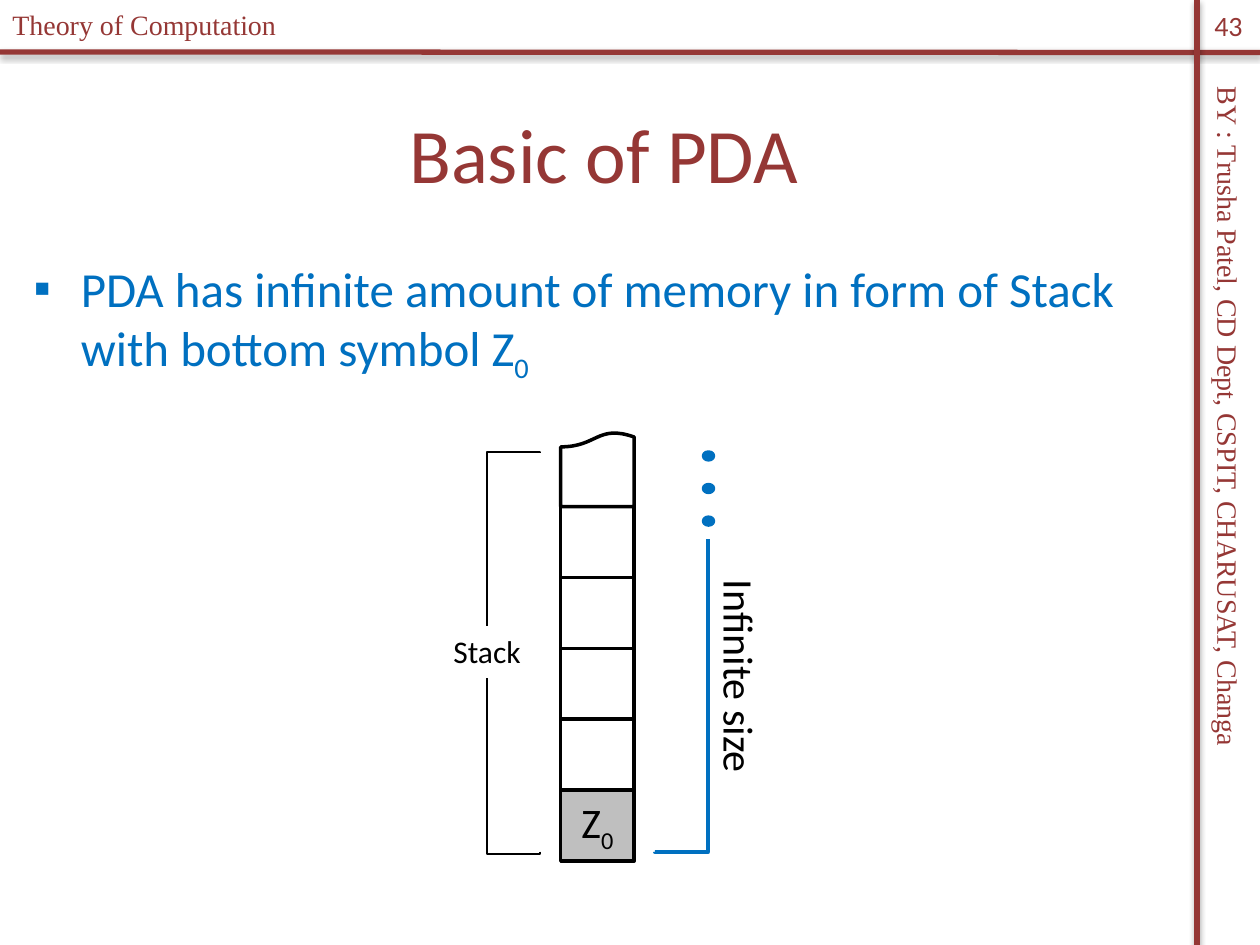
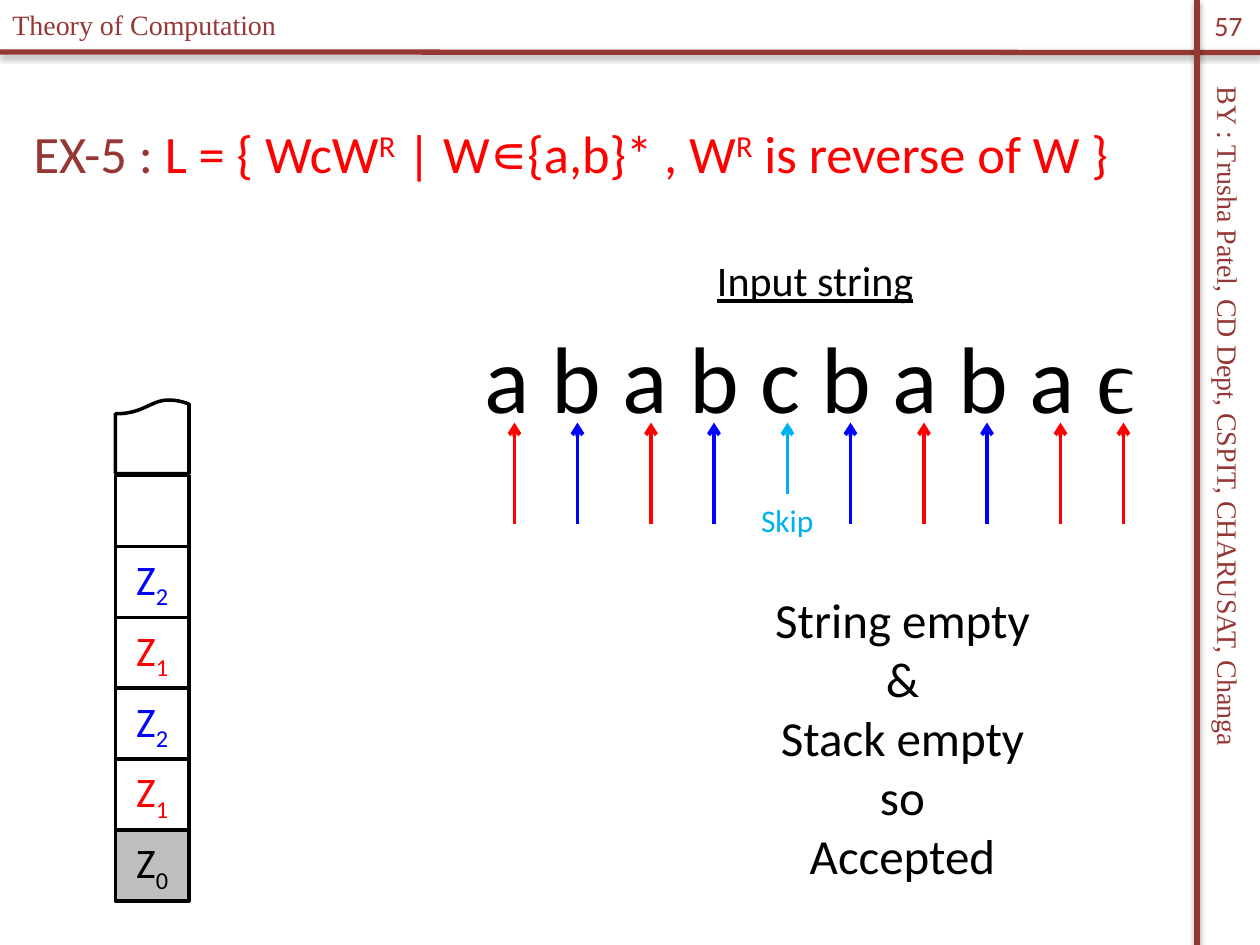
from lxml import etree
from pptx import Presentation
from pptx.dml.color import RGBColor
from pptx.enum.shapes import MSO_CONNECTOR, MSO_SHAPE
from pptx.enum.text import MSO_ANCHOR, MSO_AUTO_SIZE, PP_ALIGN
from pptx.oxml.ns import qn
from pptx.util import Inches, Pt

STRAIGHT, ELBOW = MSO_CONNECTOR.STRAIGHT, MSO_CONNECTOR.ELBOW
RECT, TORN, DOT = (MSO_SHAPE.RECTANGLE, MSO_SHAPE.FLOWCHART_DOCUMENT,
                   MSO_SHAPE.FLOWCHART_CONNECTOR)
LEFT, CENTER = PP_ALIGN.LEFT, PP_ALIGN.CENTER
TOP, MIDDLE = MSO_ANCHOR.TOP, MSO_ANCHOR.MIDDLE
GROW, FIXED = MSO_AUTO_SIZE.SHAPE_TO_FIT_TEXT, MSO_AUTO_SIZE.NONE

COLOURS = {"maroon": "953735", "text": "000000", "body": "0070C0", "red": "FF0000",
           "blue": "0000FF", "sky": "00B0F0", "bottom": "BFBFBF"}
SANS, SERIF = "Calibri", "Times New Roman"
SUB, SUPER = -25000, 30000

# The slide is a grid of 120 columns by 90 rows.
WIDTH, HEIGHT = Inches(10), Inches(7.5)
COLS, ROWS = 120, 90
UNIT = WIDTH / COLS
CELL_W, CELL_H, TORN_H = 7, 6.75, 7.1


def grid(*values):
    return [round(v * UNIT) for v in values]


def colour(name):
    return RGBColor.from_string(COLOURS[name])


def write(shape, paragraphs, size, ink="text", font=SANS, align=LEFT,
          anchor=TOP, wrap=True, fit=FIXED):
    """Fill a shape with paragraphs, each a list of (text, changes) runs."""
    tf = shape.text_frame
    for name, value in {"word_wrap": wrap, "auto_size": fit,
                        "vertical_anchor": anchor}.items():
        setattr(tf, name, value)
    for i, runs in enumerate(paragraphs):
        p = tf.add_paragraph() if i else tf.paragraphs[0]
        p.alignment, p.space_before = align, Pt(0)
        for text, changes in runs:
            for j, line in enumerate(text.split("\n")):
                if j:
                    p.add_line_break()
                r = p.add_run()
                r.text = line
                look = {"size": Pt(size), "name": font, **changes}
                r.font.color.rgb = colour(look.pop("ink", ink))
                baseline = look.pop("baseline", 0)
                for name, value in look.items():
                    setattr(r.font, name, value)
                if baseline:
                    r._r.get_or_add_rPr().set("baseline", str(baseline))


def label(s, box, lines, size, rotation=0, **look):
    """Add an unwrapped text box with one paragraph a line."""
    sp = s.shapes.add_textbox(*grid(*box))
    sp.rotation = rotation
    paragraphs = [[(line, {})] if isinstance(line, str) else line for line in lines]
    write(sp, paragraphs, size, **{"wrap": False, "fit": GROW, **look})


def shape(s, kind, box, line="text", fill=None):
    sp = s.shapes.add_shape(kind, *grid(*box))
    sp.shadow.inherit = False
    sp.line.color.rgb, sp.line.width = colour(line), Pt(2)
    if fill:
        sp.fill.solid()
        sp.fill.fore_color.rgb = colour(fill)
    else:
        sp.fill.background()
    return sp


def connector(s, ends, ink, width, kind=STRAIGHT, arrow=False):
    cxn = s.shapes.add_connector(kind, *grid(*ends))
    cxn.line.color.rgb, cxn.line.width = colour(ink), Pt(width)
    sp_pr = cxn._element.spPr
    if arrow:
        etree.SubElement(sp_pr.find(qn("a:ln")), qn("a:tailEnd"), type="arrow")
    return cxn, etree.SubElement(sp_pr, qn("a:effectLst"))


def elbow(s, box, ink, width, rotation, flip="", bend=0):
    """Draw an L inside a box; the connector is laid flat, then turned upright."""
    x, y, w, h = box
    left, top = x + (w - h) / 2, y + (h - w) / 2
    x1, x2 = (left + h, left) if "h" in flip else (left, left + h)
    y1, y2 = (top + w, top) if "v" in flip else (top, top + w)
    cxn, _ = connector(s, (x1, y1, x2, y2), ink, width, ELBOW)
    sp_pr = cxn._element.spPr
    sp_pr.find(qn("a:xfrm")).set("rot", str(rotation * 60000))
    guides = sp_pr.find(qn("a:prstGeom")).find(qn("a:avLst"))
    etree.SubElement(guides, qn("a:gd"), name="adj1", fmla=f"val {bend}")


def frame(s, number):
    """Draw the crossing bands, course name, author and page number."""
    bar = 114
    for ends in ((0, 4.95, COLS, 5), (bar, 0, bar, ROWS)):
        _, effects = connector(s, ends, "maroon", 3)
        shadow = etree.SubElement(effects, qn("a:outerShdw"), blurRad="40000",
                                  dist="23000", dir="5400000", rotWithShape="0")
        black = etree.SubElement(shadow, qn("a:srgbClr"), val=COLOURS["text"])
        etree.SubElement(black, qn("a:alpha"), val="35000")
    serif = {"ink": "maroon", "font": SERIF}
    label(s, (78.5, 43.4, 77, 4.4),
          ["BY : Trusha Patel, CD Dept, CSPIT, CHARUSAT, Changa"], 16, 90, **serif)
    label(s, (0, 0.1, 39.5, 4.4), ["Theory of Computation"], 16, **serif)
    label(s, (bar, 0, COLS - bar, 4.8), [str(number)], 16, ink="maroon",
          align=CENTER, anchor=MIDDLE, wrap=True, fit=FIXED)


def place(sp, box):
    sp.left, sp.top, sp.width, sp.height = grid(*box)


def start_slide(prs, layout, number, title, size, align):
    s = prs.slides.add_slide(prs.slide_layouts[layout])
    frame(s, number)
    place(s.shapes.title, (2, 7, 111, 15))
    write(s.shapes.title, [title], size, "maroon", align=align, anchor=MIDDLE)
    return s


def bullet_list(s, box, items):
    sp = s.placeholders[1]
    place(sp, box)
    for i in range(len(items)):
        p = sp.text_frame.paragraphs[0] if i == 0 else sp.text_frame.add_paragraph()
        p_pr = p._p.get_or_add_pPr()
        p_pr.set("marL", "342900")
        p_pr.set("indent", "-342900")
        etree.SubElement(p_pr, qn("a:buFont"), typeface="Arial")
        etree.SubElement(p_pr, qn("a:buChar"), char="▪")
    write(sp, items, 28, "body")


def symbol(index, ink="text"):
    return [("Z", {"ink": ink}), (str(index), {"ink": ink, "baseline": SUB})]


def stack(s, x, y, cells, gap=0.0):
    """Draw a torn-off top at x, y and the cells below it, the last one shaded."""
    for i, content in enumerate(cells):
        last = i == len(cells) - 1
        box = (x, y + TORN_H + gap + i * CELL_H, CELL_W, CELL_H)
        sp = shape(s, RECT, box, fill="bottom" if last else None)
        if content:
            write(sp, [content], 24, align=CENTER, anchor=MIDDLE, wrap=False)
    shape(s, TORN, (x, y, CELL_W, TORN_H)).rotation = 180


def stack_diagram(s, x, y):
    """Draw the stack between its brace on the left and its size on the right."""
    arm_w, arm_h = 5, 16.5
    elbow(s, (x + 4.4, y + 1.95, arm_w, arm_h), "text", 1, 90, bend=-300)
    elbow(s, (x + 4.4, y + 23.45, arm_w, arm_h), "text", 1, 270, "v", -1300)
    label(s, (x, y + 18.45, 8.9, 4.8), ["Stack"], 18)
    stack(s, x + 11.4, y, [None] * 4 + [symbol(0)])
    elbow(s, (x + 20.4, y + 10.2, arm_w, 29.8), "body", 2.25, 90, "hv", -100)
    for i in range(3):
        shape(s, DOT, (x + 25, y + 1.9 + i * 3.1, 0.95, 0.75), "body", "body")
    label(s, (x + 18, y + 20.4, 21, 6), ["Infinite size"], 24, 90)


def input_string(s, x, y):
    """Write the input with an arrow under each symbol it reads."""
    inks = {"a": "red", "b": "blue", "c": "sky", "ϵ": "red"}
    word = "ababcbaba"
    label(s, (x + 22.1, y, 21.2, 6), [[("Input string", {"underline": True})]], 24)
    label(s, (x, y + 6.1, 65.5, 12.1),
          [[(" ".join(word) + " ", {}), ("ϵ", {"name": SERIF})]], 54)
    for i, letter in enumerate(word + "ϵ"):
        col = x + 4 + 13 * i // 2
        foot = y + (23.4 if letter == "c" else 26.3)
        connector(s, (col, foot, col, y + 16.6), inks[letter], 2.25, arrow=True)
    label(s, (x + 26.3, y + 23.5, 7.4, 4.8), ["Skip"], 18, ink=inks["c"])


def basics_slide(prs):
    s = start_slide(prs, 1, 43, [("Basic of PDA", {})], 44, CENTER)
    text = "PDA has infinite amount of memory in form of Stack\nwith bottom symbol Z"
    bullet_list(s, (2, 24, 111, 63), [[(text, {}), ("0", {"baseline": SUB})]])
    stack_diagram(s, 42, 41.15)


def example_slide(prs):
    red, raised = {"ink": "red"}, {"ink": "red", "baseline": SUPER}
    title = [("EX-5 : ", {}), ("L = { WcW", red), ("R", raised),
             (" | W∊{a,b}* , W", red), ("R", raised), (" is reverse of W }", red)]
    s = start_slide(prs, 5, 57, title, 30, LEFT)
    pushed = [symbol(2, "blue"), symbol(1, "red")] * 2
    stack(s, 11, 38, [None, *pushed, symbol(0)], gap=0.2)
    input_string(s, 45, 23.65)
    label(s, (72.5, 55.6, 26.9, 29.5),
          ["String empty", "&", "Stack empty", "so", "Accepted"], 28, align=CENTER)


def main():
    prs = Presentation()
    prs.slide_width, prs.slide_height = WIDTH, HEIGHT
    basics_slide(prs)
    example_slide(prs)
    prs.save("out.pptx")


if __name__ == "__main__":
    main()
